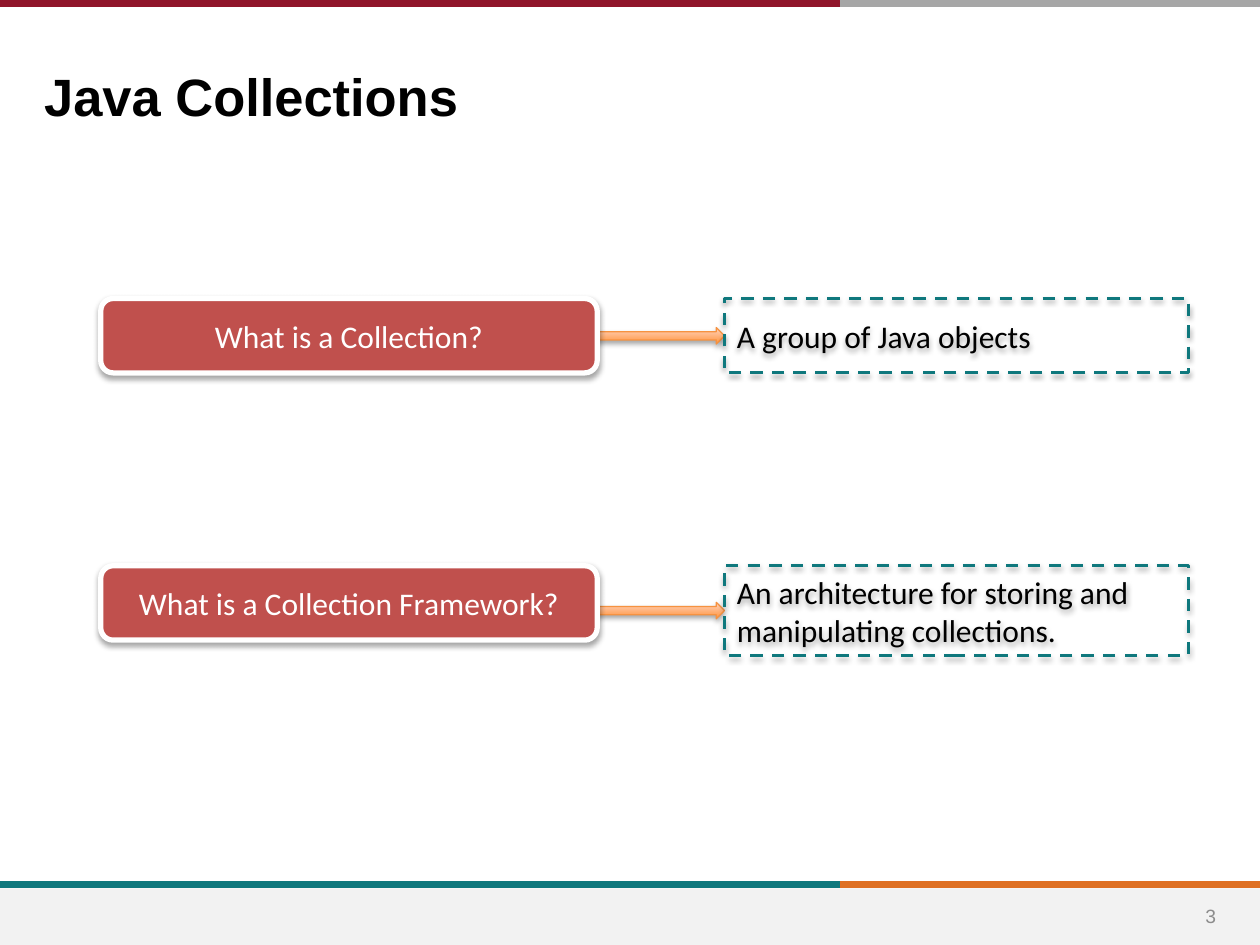
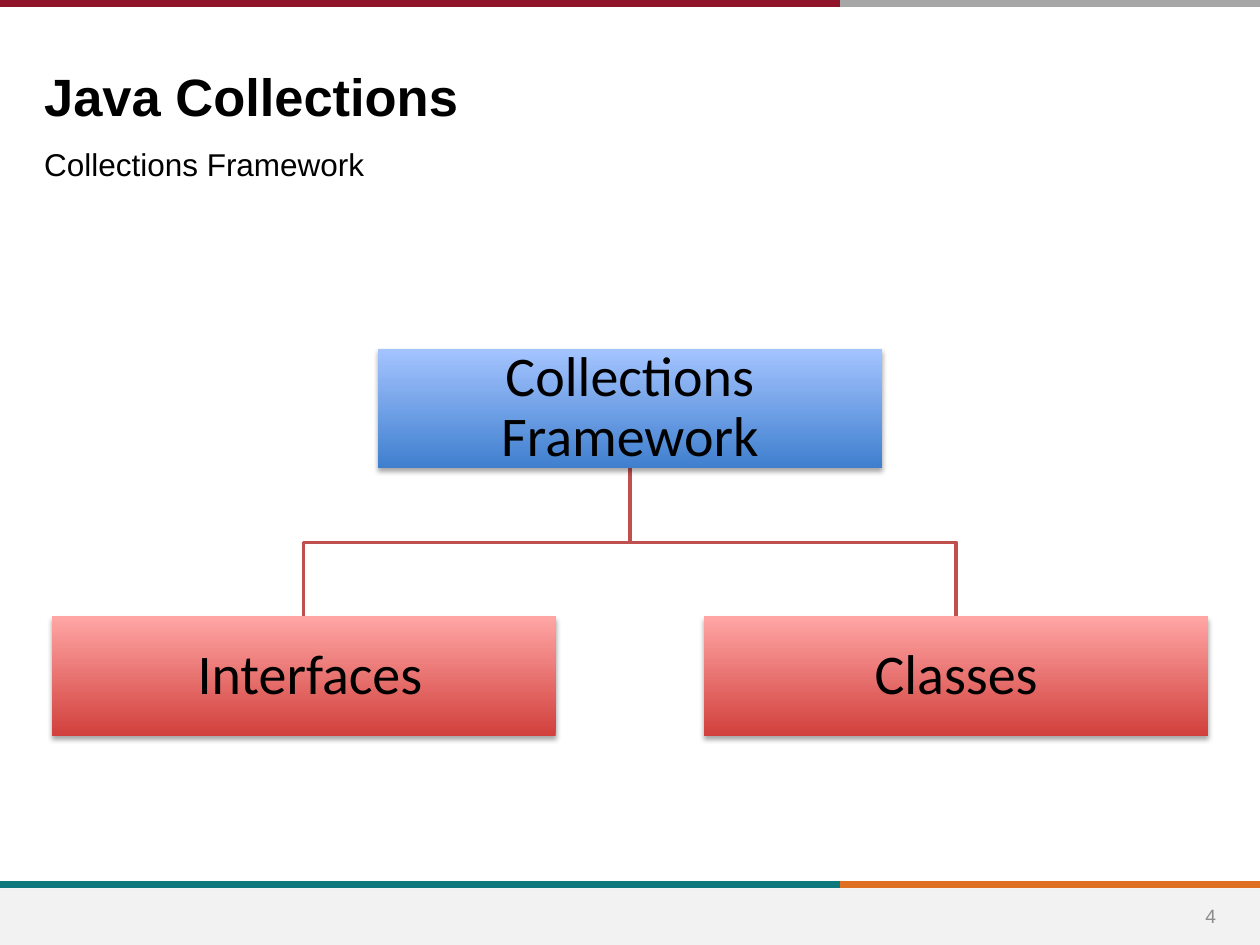
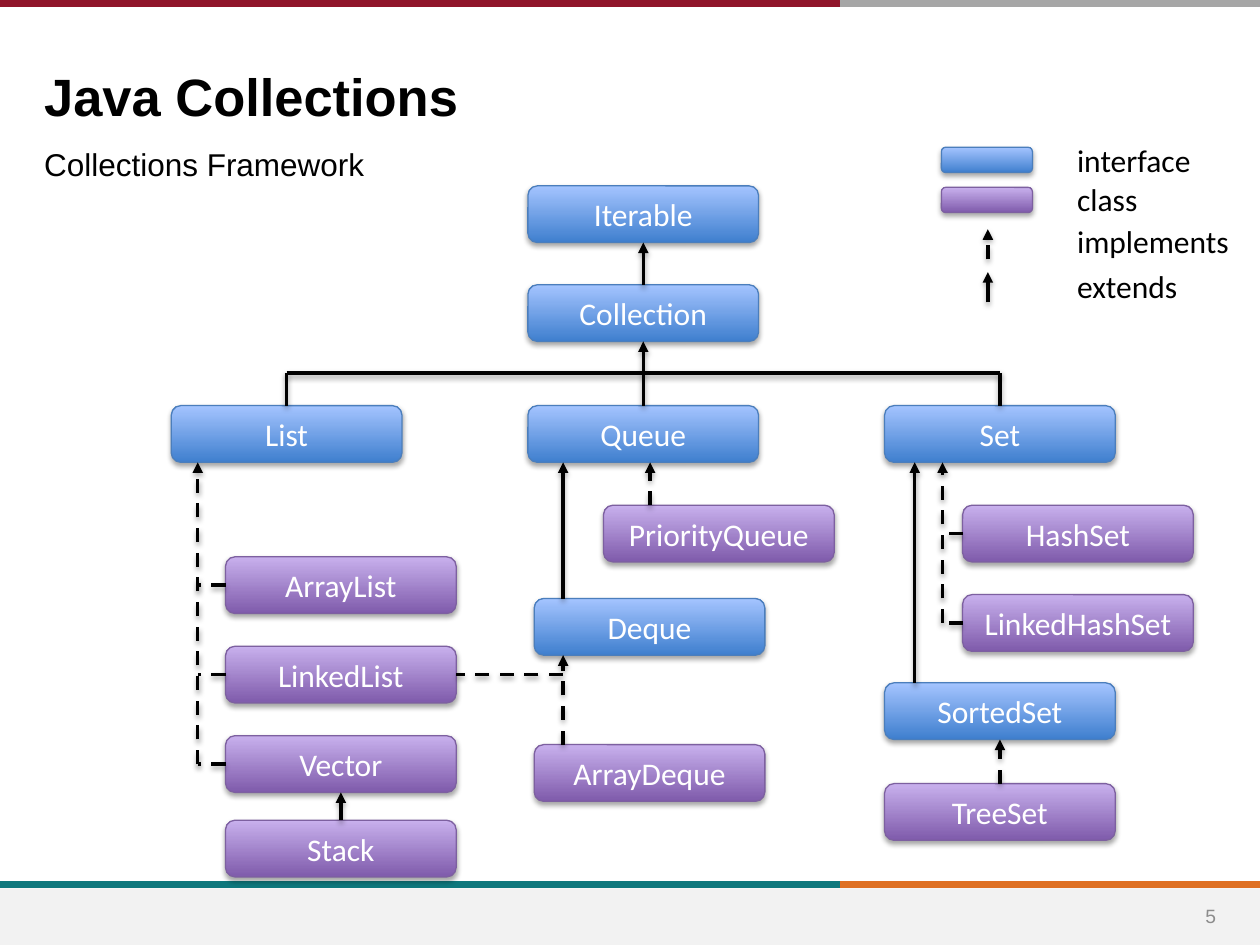
import pptx
import pptx.dml.color
import pptx.enum.dml
import pptx.enum.shapes
import pptx.enum.text
import pptx.oxml.ns
import pptx.util
from lxml import etree

Pt = pptx.util.Pt
qn = pptx.oxml.ns.qn
SHAPE = pptx.enum.shapes.MSO_SHAPE
ALIGN = pptx.enum.text.PP_ALIGN
ANCHOR = pptx.enum.text.MSO_ANCHOR
DASH = pptx.enum.dml.MSO_LINE.DASH

WIDTH, HEIGHT = 720, 540
BAND_SPLIT = 480
BLACK, WHITE, TEAL, RED = "000000", "FFFFFF", "0F787D", "C0504D"
# Gradients run from the bottom colour to the top colour.
BLUE_FADE, RED_FADE = ("3F7FCE", "A4C4FF"), ("D1403C", "FFA6A5")
PURPLE_FADE, ORANGE_FADE = ("7F5BAB", "C8B0ED"), ("FF953E", "FFD2BD")
INTERFACE = {"fill": BLUE_FADE, "line": ("4B7EBC", 0.75)}
CLASS = {"fill": PURPLE_FADE, "line": ("7D60A0", 0.75)}


def rgb(value):
    """Turn a hex string into a colour."""
    return pptx.dml.color.RGBColor.from_string(value)


def add_effects(shape, shadow):
    """Replace the theme shadow by a soft one below the shape, or by none."""
    properties = shape._element.spPr
    effects = properties.find(qn("a:effectLst"))
    if effects is None:
        effects = etree.SubElement(properties, qn("a:effectLst"))
    if shadow:
        outer = etree.SubElement(effects, qn("a:outerShdw"), blurRad=str(Pt(3.1)),
                                 dist=str(Pt(1.8)), dir="5400000", rotWithShape="0")
        color = etree.SubElement(outer, qn("a:srgbClr"), val=BLACK)
        etree.SubElement(color, qn("a:alpha"), val="35000")


class Deck:
    """The shared style and the slide being built."""

    def __init__(self):
        """Start an empty presentation."""
        self.presentation = pptx.Presentation()
        self.presentation.slide_width = Pt(WIDTH)
        self.presentation.slide_height = Pt(HEIGHT)
        self.slide = None

    def new_slide(self, number, title, subtitle=None):
        """Add a slide with bands, page number, title and optional subtitle."""
        layout = self.presentation.slide_layouts[1 if subtitle else 5]
        self.slide = self.presentation.slides.add_slide(layout)
        self.box(0, 507.6, WIDTH, 32.4, fill="F2F2F2", shadow=False)
        for y, left_color, right_color in ((2, "90152A", "A6A6A6"), (505.5, TEAL, "DF7023")):
            self.line(0, y, BAND_SPLIT, y, left_color, 4, shadow=False)
            self.line(BAND_SPLIT, y, WIDTH, y, right_color, 4, shadow=False)
        self.label(673.2, 509, 37.4, 28.8, str(number), 11, "8C8C8C", "Arial",
                   ALIGN.CENTER, ANCHOR.MIDDLE)
        self.placeholder(0, title, 18, 33.1, 575.3, 42.5, 30, True)
        if subtitle:
            self.placeholder(1, subtitle, 18, 79.2, 684.7, 32.4, 18, False)

    def placeholder(self, index, text, left, top, width, height, size, bold):
        """Place and format a title or body placeholder without bullets."""
        holder = self.slide.placeholders[index]
        holder.left, holder.top, holder.width, holder.height = map(Pt, (left, top, width, height))
        holder.text_frame.auto_size = pptx.enum.text.MSO_AUTO_SIZE.NONE
        self.set_text(holder, text, size, BLACK, "Arial", ALIGN.LEFT, ANCHOR.TOP, bold)
        paragraph = holder.text_frame.paragraphs[0]
        paragraph.space_before = Pt(0)
        settings = paragraph._p.get_or_add_pPr()
        settings.set("marL", "0")
        settings.set("indent", "0")
        etree.SubElement(settings, qn("a:buNone"))

    def set_text(self, shape, text, size, color, font, align, anchor, bold=False):
        """Fill a shape with one formatted paragraph."""
        frame = shape.text_frame
        frame.text = text
        frame.vertical_anchor = anchor
        paragraph = frame.paragraphs[0]
        paragraph.alignment = align
        for run in paragraph.runs:
            run.font.size, run.font.name, run.font.bold = Pt(size), font, bold
            run.font.color.rgb = rgb(color)

    def label(self, left, top, width, height, text, size=18, color=BLACK, font="Calibri",
              align=ALIGN.LEFT, anchor=ANCHOR.TOP):
        """Add free text on one line."""
        area = self.slide.shapes.add_textbox(*map(Pt, (left, top, width, height)))
        self.set_text(area, text, size, color, font, align, anchor)

    def box(self, left, top, width, height, text="", kind=SHAPE.RECTANGLE, fill=None,
            line=None, dashed=False, shadow=True, size=18, color=WHITE, align=ALIGN.CENTER):
        """Add a shape with a plain, graded or empty fill and optional text."""
        shape = self.slide.shapes.add_shape(kind, *map(Pt, (left, top, width, height)))
        if fill is None:
            shape.fill.background()
        elif isinstance(fill, str):
            shape.fill.solid()
            shape.fill.fore_color.rgb = rgb(fill)
        else:
            shape.fill.gradient()
            shape.fill.gradient_angle = 90
            for position, (stop, shade) in enumerate(zip(shape.fill.gradient_stops, fill)):
                stop.position = position
                stop.color.rgb = rgb(shade)
        if line:
            self.stroke(shape.line, *line, dashed)
        else:
            shape.line.fill.background()
        shape.shadow.inherit = False
        add_effects(shape, shadow)
        if text:
            shape.text_frame.word_wrap = True
            self.set_text(shape, text, size, color, "Calibri", align, ANCHOR.MIDDLE)
        return shape

    def stroke(self, line, color, weight, dashed=False):
        """Format an outline or a connector line."""
        line.color.rgb = rgb(color)
        line.width = Pt(weight)
        if dashed:
            line.dash_style = DASH

    def line(self, x1, y1, x2, y2, color=BLACK, weight=2, dashed=False, arrow=False, shadow=True):
        """Add a straight line, with an arrowhead at its end if wanted."""
        connector = self.slide.shapes.add_connector(
            pptx.enum.shapes.MSO_CONNECTOR.STRAIGHT, *map(Pt, (x1, y1, x2, y2)))
        self.stroke(connector.line, color, weight, dashed)
        if arrow:
            etree.SubElement(connector.line._get_or_add_ln(), qn("a:tailEnd"), type="triangle")
        add_effects(connector, shadow)

    def polyline(self, points, color, weight):
        """Add an open outline through the given points."""
        start, *others = [tuple(map(Pt, point)) for point in points]
        builder = self.slide.shapes.build_freeform(*start)
        builder.add_line_segments(others, close=False)
        outline = builder.convert_to_shape()
        outline.fill.background()
        self.stroke(outline.line, color, weight)
        outline.shadow.inherit = False


def build_questions(deck):
    """Two questions, each with an arrow to its answer."""
    deck.new_slide(3, "Java Collections")
    for top, arrow_top, answer_height, question, answer in (
            (170.6, 187.2, 42.5, "What is a Collection?", "A group of Java objects"),
            (323.3, 344.2, 51.1, "What is a Collection Framework?",
             "An architecture for storing and manipulating collections.")):
        deck.box(341.3, arrow_top, 72.7, 9.4, kind=SHAPE.RIGHT_ARROW, fill=ORANGE_FADE,
                 line=("F69240", 0.75))
        deck.box(57.6, top, 283.7, 42.5, question, SHAPE.ROUNDED_RECTANGLE, RED, (WHITE, 3))
        deck.box(414, top, 265, answer_height, answer, line=(TEAL, 1.75), dashed=True,
                 color=BLACK, align=ALIGN.LEFT)


def build_parts(deck):
    """The framework and its two parts as a small tree."""
    deck.new_slide(4, "Java Collections", "Collections Framework")
    width, height, center, spread = 288, 68.2, WIDTH / 2, 186.4
    root_top, part_top = 199.4, 352.3
    root_bottom = root_top + height
    middle = (root_bottom + part_top) / 2
    for x in (center + spread, center - spread):
        deck.polyline([(center, root_bottom), (center, middle), (x, middle), (x, part_top)], RED, 2)
    for x, top, text, fade in ((center, root_top, "Collections Framework", BLUE_FADE),
                               (center - spread, part_top, " Interfaces", RED_FADE),
                               (center + spread, part_top, "Classes", RED_FADE)):
        part = deck.box(x - width / 2, top, width, height, text, fill=fade, size=32, color=BLACK)
        frame = part.text_frame
        frame.margin_left = frame.margin_right = frame.margin_top = frame.margin_bottom = Pt(1.6)
        frame.paragraphs[0].line_spacing = 0.9


def build_hierarchy(deck):
    """The interfaces and classes of the framework, with a legend."""
    deck.new_slide(5, "Java Collections", "Collections Framework")
    width, height, step = 131.8, 32.4, 51.1
    list_x, queue_x, set_x = (97.9 + 203.8 * column for column in range(3))
    row, list_class_x, list_class_y, set_class_x, leaf_y = 231.8, 128.9, 318.2, 550.1, 288.7
    interfaces = {
        "Iterable": (queue_x, 106.2), "Collection": (queue_x, 162.7),
        "List": (list_x, row), "Queue": (queue_x, row), "Set": (set_x, row),
        "Deque": (305.3, 342), "SortedSet": (set_x, 390.2)}
    classes = {
        "ArrayList": (list_class_x, list_class_y),
        "LinkedList": (list_class_x, list_class_y + step),
        "Vector": (list_class_x, list_class_y + 2 * step), "Stack": (list_class_x, 468.7),
        "PriorityQueue": (344.9, leaf_y), "ArrayDeque": (305.3, 425.5),
        "HashSet": (set_class_x, leaf_y), "LinkedHashSet": (set_class_x, leaf_y + step),
        "TreeSet": (set_x, 447.8)}
    places = {**interfaces, **classes}
    for group, style in ((interfaces, INTERFACE), (classes, CLASS)):
        for name, (x, y) in group.items():
            deck.box(x, y, width, height, name, SHAPE.ROUNDED_RECTANGLE, **style)

    def center(name):
        """Return the middle of a node."""
        x, y = places[name]
        return x + width / 2, y + height / 2

    deque_x = 321.8
    for child, parent, x, dashed in (
            ("Collection", "Iterable", None, False), ("Queue", "Collection", None, False),
            ("Deque", "Queue", deque_x, False), ("SortedSet", "Set", 522.7, False),
            ("Stack", "Vector", None, False), ("TreeSet", "SortedSet", None, True),
            ("ArrayDeque", "Deque", deque_x, True), ("PriorityQueue", "Queue", 371.5, True)):
        x = x or center(child)[0]
        deck.line(x, places[child][1], x, places[parent][1] + height, dashed=dashed, arrow=True)

    bar_y = 213.1
    for name in ("List", "Set"):
        deck.line(center(name)[0], row, center(name)[0], bar_y)
    deck.line(center("List")[0], bar_y, center("Set")[0], bar_y)

    for parent, trunk_x, children in (("List", 113, ("ArrayList", "LinkedList", "Vector")),
                                      ("Set", 538.6, ("HashSet", "LinkedHashSet"))):
        deck.line(trunk_x, center(children[-1])[1], trunk_x, row + height, dashed=True, arrow=True)
        for child in children:
            deck.line(places[child][0], center(child)[1], trunk_x, center(child)[1], dashed=True)
    linked_y = center("LinkedList")[1]
    deck.line(deque_x, linked_y, list_class_x + width, linked_y, dashed=True)

    for y, style in ((84.2, INTERFACE), (107.1, CLASS)):
        deck.box(538, y, 52, 14.4, kind=SHAPE.ROUNDED_RECTANGLE, **style)
    for y, dashed in ((148.3, True), (172.8, False)):
        deck.line(564.5, y, 564.5, y - 17.3, dashed=dashed, arrow=True)
    for y, label_width, meaning in ((77, 80, "interface"), (99.4, 49, "class"),
                                    (123.1, 102.2, "implements"), (149, 72.7, "extends")):
        deck.label(608.4, y, label_width, 28.8, meaning)


deck = Deck()
build_questions(deck)
build_parts(deck)
build_hierarchy(deck)
deck.presentation.save("out.pptx")
